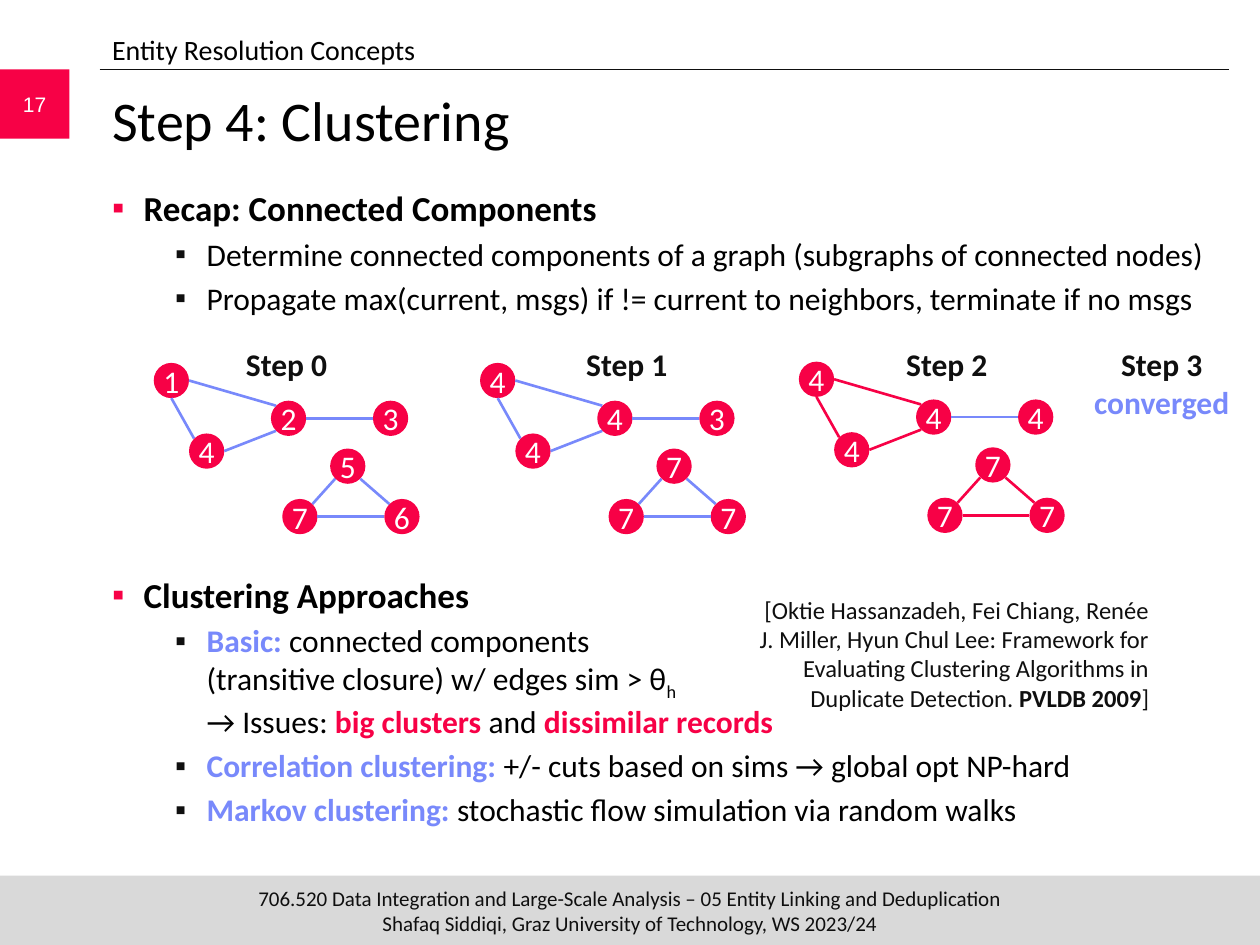
from lxml.etree import SubElement
from pptx import Presentation
from pptx.dml.color import RGBColor
from pptx.enum.shapes import MSO_CONNECTOR as CONN, MSO_SHAPE as SHAPE
from pptx.enum.text import MSO_ANCHOR as ANCHOR, MSO_AUTO_SIZE as AUTO, PP_ALIGN as ALIGN
from pptx.oxml.ns import qn
from pptx.util import Inches, Pt

# The slide is a grid of 10 columns by 7.5 rows with square cells.
CELL = Inches(1)
COLORS = {"red": "F70146", "blue": "7889FB", "ink": "0F0F0F", "black": "000000",
          "white": "FFFFFF", "gray": "D9D9D9"}
FONT = "Calibri"
LEFT, WIDTH = 0.79, 8.96

NODE = 0.28
DIAG = 0.04  # inset of an ellipse's diagonal connection points
SITES = {"top": (NODE / 2, 0), "bottom": (NODE / 2, NODE),
         "left": (0, NODE / 2), "right": (NODE, NODE / 2),
         "tl": (DIAG, DIAG), "tr": (NODE - DIAG, DIAG),
         "bl": (DIAG, NODE - DIAG), "br": (NODE - DIAG, NODE - DIAG)}
# Node corners relative to the first node of the graph
NODES = [(0, 0), (0.93, 0.3), (0.28, 0.56), (1.74, 0.3),
         (1.4, 0.68), (1.02, 1.08), (1.83, 1.08)]
EDGES = [(2, "tl", 0, "bottom"), (1, "tl", 0, "right"), (2, "right", 1, "bl"),
         (3, "left", 1, "right"), (5, "tr", 4, "bl"), (6, "tl", 4, "br"),
         (6, "left", 5, "right")]
BRIDGE = 3  # index of the edge that still carries messages in step 2

# Title, node values, graph corner, label left, edge colour
STEPS = [("Step 0", "1243576", (1.22, 2.88), 1.34, "blue"),
         ("Step 1", "4443777", (3.81, 2.88), 4.04, "blue"),
         ("Step 2", "4444777", (6.34, 2.87), 6.58, "red")]

BOLD, BLUE, RED = {"bold": True}, {"bold": True, "color": "blue"}, {"bold": True, "color": "red"}
# Level, space before in points, runs
BULLETS = [
    (0, 0, [("Recap: Connected Components", BOLD)]),
    (1, 3.6, [("Determine connected components of a graph (subgraphs of connected nodes)", {})]),
    (1, 3.6, [("Propagate max(current, msgs) if != current to neighbors, terminate if no msgs", {})]),
    (0, 146.5, [("Clustering Approaches", BOLD)]),
    (1, 3.6, [("Basic:", BLUE),
              (" connected components\n(transitive closure) w/ edges sim > θ", {}),
              ("h", {"baseline": -25000}), ("\n→ Issues: ", {}), ("big clusters", RED),
              (" and ", {}), ("dissimilar records", RED)]),
    (1, 3.6, [("Correlation clustering:", BLUE),
              (" +/- cuts based on sims → global opt NP-hard", {})]),
    (1, 3.6, [("Markov clustering:", BLUE),
              (" stochastic flow simulation via random walks", {})]),
]


def rgb(name):
    return RGBColor.from_string(COLORS[name])


def cells(*values):
    return [int(v * CELL) for v in values]


def write(p, runs, size, color="ink", font=FONT, align=ALIGN.LEFT):
    """Fill a paragraph with (text, style) runs; a newline is a line break."""
    p.alignment = align
    for text, style in runs:
        for i, part in enumerate(text.split("\n")):
            if i:
                p.add_line_break()
            if not part:
                continue
            r = p.add_run()
            r.text = part
            values = {"name": font, "size": Pt(size), "bold": style.get("bold", False)}
            for key, value in values.items():
                setattr(r.font, key, value)
            r.font.color.rgb = rgb(style.get("color", color))
            if "baseline" in style:
                r.font._element.set("baseline", str(style["baseline"]))


def frame(s, anchor=ANCHOR.TOP, side=0.1, edge=0.05):
    tf = s.text_frame
    values = {"word_wrap": True, "auto_size": AUTO.NONE, "vertical_anchor": anchor,
              "margin_left": Inches(side), "margin_right": Inches(side),
              "margin_top": Inches(edge), "margin_bottom": Inches(edge)}
    for key, value in values.items():
        setattr(tf, key, value)
    return tf


def add_block(shapes, kind, box, fill):
    s = shapes.add_shape(kind, *cells(*box))
    s.shadow.inherit = False
    s.fill.solid()
    s.fill.fore_color.rgb = rgb(fill)
    s.line.fill.background()
    return s


def add_line(shapes, start, end, color, width):
    s = shapes.add_connector(CONN.STRAIGHT, *cells(*start, *end))
    s.line.color.rgb = rgb(color)
    s.line.width = Pt(width)
    SubElement(s._element.spPr, qn("a:effectLst"))


def add_text(shapes, box, runs, size, align=ALIGN.CENTER):
    s = shapes.add_textbox(*cells(*box))
    write(frame(s, side=0).paragraphs[0], runs, size, align=align)


def place(s, box):
    s.left, s.top, s.width, s.height = cells(*box)
    return frame(s)


def set_bullet(p, indent, color=None):
    """Set the hanging indent in inches, with a square bullet if coloured."""
    pPr = p._p.get_or_add_pPr()
    hang = Inches(0.25) if color else 0
    pPr.set("marL", str(Inches(indent)))
    pPr.set("indent", str(-hang))
    if color:
        SubElement(SubElement(pPr, qn("a:buClr")), qn("a:srgbClr"), val=COLORS[color])
        SubElement(pPr, qn("a:buFont"), typeface="Arial")
        SubElement(pPr, qn("a:buChar"), char="▪")
    else:
        SubElement(pPr, qn("a:buNone"))


def add_bullets(tf):
    for i, (level, before, runs) in enumerate(BULLETS):
        p = tf.add_paragraph() if i else tf.paragraphs[0]
        p.level = level
        set_bullet(p, (0.25, 0.75)[level], ("red", "ink")[level])
        p.space_before = Pt(before)
        write(p, runs, (20, 18)[level], "black")


def add_graph(shapes, values, corner, color):
    group = shapes.add_group_shape().shapes
    spots = [(corner[0] + x, corner[1] + y) for x, y in NODES]
    for value, spot in zip(values, spots):
        s = add_block(group, SHAPE.OVAL, (*spot, NODE, NODE), "red")
        write(frame(s, ANCHOR.MIDDLE, 0, 0).paragraphs[0], [(value, {})], 18, "white",
              align=ALIGN.CENTER)

    def site(node, name):
        return [a + b for a, b in zip(spots[node], SITES[name])]

    for i, (a, a_site, b, b_site) in enumerate(EDGES):
        add_line(group, site(a, a_site), site(b, b_site),
                 "blue" if i == BRIDGE else color, 1.5)


def add_page_furniture(shapes):
    footer = add_block(shapes, SHAPE.RECTANGLE, (0, 6.95, 10, 0.55), "gray")
    write(frame(footer, ANCHOR.MIDDLE, 0, 0).paragraphs[0],
          [("706.520 Data Integration and Large-Scale Analysis – "
            "05 Entity Linking and Deduplication\n"
            "Shafaq Siddiqi, Graz University of Technology, WS 2023/24", {})],
          12, align=ALIGN.CENTER)
    add_line(shapes, (LEFT, 0.55), (LEFT + WIDTH, 0.55), "ink", 0.5)
    number = add_block(shapes, SHAPE.RECTANGLE, (0, 0.55, 0.55, 0.55), "red")
    write(frame(number, ANCHOR.MIDDLE).paragraphs[0], [("17", {})], 12, "white", "Arial",
          ALIGN.CENTER)


def main():
    prs = Presentation()
    prs.slide_width, prs.slide_height = cells(10, 7.5)
    slide = prs.slides.add_slide(prs.slide_layouts[3])
    shapes = slide.shapes
    title, body, header = slide.placeholders

    add_page_furniture(shapes)
    write(place(title, (LEFT, 0.63, WIDTH, 0.83)).paragraphs[0],
          [("Step 4: Clustering", {})], 32, "black")
    add_bullets(place(body, (LEFT, 1.43, WIDTH, 5.4)))
    p = place(header, (LEFT, 0.21, 9, 0.36)).paragraphs[0]
    set_bullet(p, 0)
    p.space_before = Pt(0)
    write(p, [("Entity Resolution Concepts", {})], 16, "black")

    for name, values, corner, label_left, color in STEPS:
        add_graph(shapes, values, corner, color)
        add_text(shapes, (label_left, 2.69, 1.87, 0.4), [(name, BOLD)], 18)
    add_text(shapes, (8.55, 2.69, 1.34, 0.71), [("Step 3\n", BOLD), ("converged", BLUE)], 18)
    add_text(shapes, (6, 4.67, 3.12, 1.04),
             [("[Oktie Hassanzadeh, Fei Chiang, Renée J. Miller, Hyun Chul Lee: Framework for "
               "Evaluating Clustering Algorithms in Duplicate Detection. ", {}),
              ("PVLDB 2009", BOLD), ("]", {})], 14, ALIGN.RIGHT)
    prs.save("out.pptx")


if __name__ == "__main__":
    main()
